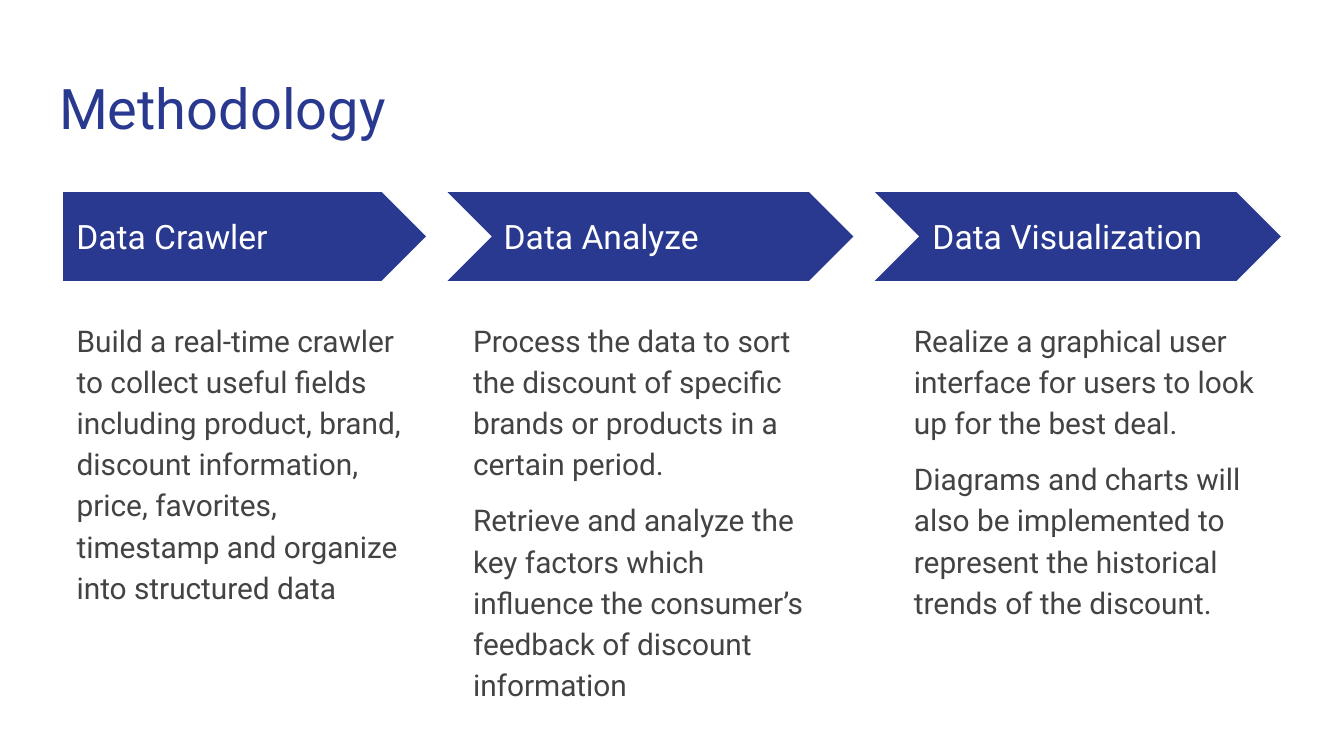
from lxml import etree
from pptx import Presentation
from pptx.dml.color import RGBColor
from pptx.enum.shapes import MSO_SHAPE
from pptx.enum.text import MSO_ANCHOR, MSO_AUTO_SIZE, PP_ALIGN
from pptx.oxml.ns import qn
from pptx.util import Inches, Pt

PENTAGON, CHEVRON = MSO_SHAPE.PENTAGON, MSO_SHAPE.CHEVRON
TOP, MIDDLE = MSO_ANCHOR.TOP, MSO_ANCHOR.MIDDLE
NO_AUTOFIT, LEFT = MSO_AUTO_SIZE.NONE, PP_ALIGN.LEFT

COLORS = {"blue": "2A3990", "white": "FFFFFF", "gray": "434343"}
FONT = "Roboto"
COMPARISON_LAYOUT = 4
SLIDE_WIDTH = 10
SLIDE_HEIGHT = SLIDE_WIDTH * 9 / 16
GRID_LEFT, COLUMN_PITCH, COLUMN_WIDTH = 0.15, 3.18, 3.02
ARROW_TOP, ARROW_HEIGHT, NOTCH = 1.43, 0.66, 0.32
LABEL_WIDTH, LABEL_HEIGHT = 2.47, 0.34
DETAIL_TOP = 2.26

STEPS = [
    {
        "label": "Data Crawler",
        "label_indent": NOTCH,
        "arrow": PENTAGON,
        "arrow_indent": NOTCH,
        "placeholder": 1,
        "detail_box": (NOTCH, 2.7, 2.3),
        "details": [
            "Build a real-time crawler to collect useful fields including product, brand, "
            "discount information, price, favorites, timestamp and organize into structured data",
        ],
    },
    {
        "label": "Data Analyze",
        "label_indent": NOTCH,
        "arrow": CHEVRON,
        "arrow_indent": 0,
        "placeholder": 2,
        "detail_box": (0.09, 2.84, 2.9),
        "details": [
            "Process the data to sort the discount of specific brands or products in a certain period.",
            "Retrieve and analyze the key factors which influence the consumer’s feedback "
            "of discount information",
        ],
    },
    {
        "label": "Data Visualization",
        "label_indent": 0.33,
        "arrow": CHEVRON,
        "arrow_indent": 0,
        "placeholder": 4,
        "detail_box": (0.19, 2.84, 2.9),
        "details": [
            "Realize a graphical user interface for users to look up for the best deal.",
            "Diagrams and charts will also be implemented to represent the historical "
            "trends of the discount.",
        ],
    },
]


def place(shape, left, top, width, height):
    """Move and size a shape, in inches."""
    shape.left, shape.top = Inches(left), Inches(top)
    shape.width, shape.height = Inches(width), Inches(height)


def write_text(shape, lines, size, color, anchor=TOP, line_spacing=1.0, gap=0):
    """Fill a shape with plain, left-aligned paragraphs."""
    frame = shape.text_frame
    frame.text = "\n".join(lines)
    frame.word_wrap, frame.auto_size, frame.vertical_anchor = True, NO_AUTOFIT, anchor
    frame.margin_left = frame.margin_right = Inches(0.1)
    frame.margin_top = frame.margin_bottom = Inches(0.1)
    for index, paragraph in enumerate(frame.paragraphs):
        paragraph.alignment, paragraph.line_spacing = LEFT, line_spacing
        paragraph.space_before = Pt(gap if index else 0)
        paragraph.space_after = Pt(gap if index == len(lines) - 1 else 0)
        properties = paragraph._p.get_or_add_pPr()
        properties.set("marL", "0")
        properties.set("indent", "0")
        etree.SubElement(properties, qn("a:buNone"))
        for run in paragraph.runs:
            run.font.name, run.font.size, run.font.bold = FONT, Pt(size), False
            run.font.color.rgb = RGBColor.from_string(COLORS[color])


def add_title(slide):
    """Write the heading in the title placeholder."""
    place(slide.shapes.title, 0.34, 0.45, 9.32, 0.66)
    write_text(slide.shapes.title, ["Methodology"], 30, "blue")


def add_step(slide, step, left):
    """Build one column: an arrow, its label and the details below."""
    indent = step["arrow_indent"]
    arrow = slide.shapes.add_shape(step["arrow"], 0, 0, 0, 0)
    place(arrow, left + indent, ARROW_TOP, COLUMN_WIDTH - indent, ARROW_HEIGHT)
    arrow.shadow.inherit = False
    arrow.fill.solid()
    arrow.fill.fore_color.rgb = RGBColor.from_string(COLORS["blue"])
    arrow.line.fill.background()

    label = slide.shapes.add_textbox(0, 0, 0, 0)
    label_top = ARROW_TOP + (ARROW_HEIGHT - LABEL_HEIGHT) / 2
    place(label, left + step["label_indent"], label_top, LABEL_WIDTH, LABEL_HEIGHT)
    write_text(label, [step["label"]], 18, "white", MIDDLE)

    offset, width, height = step["detail_box"]
    body = next(shape for shape in slide.placeholders
                if shape.placeholder_format.idx == step["placeholder"])
    place(body, left + offset, DETAIL_TOP, width, height)
    write_text(body, step["details"], 16, "gray", line_spacing=1.15, gap=8)


def remove_empty_placeholders(slide):
    """Delete the placeholders that hold no text."""
    for shape in list(slide.placeholders):
        if not shape.text_frame.text:
            shape.element.getparent().remove(shape.element)


def main():
    """Build and save the methodology slide."""
    presentation = Presentation()
    presentation.slide_width = Inches(SLIDE_WIDTH)
    presentation.slide_height = Inches(SLIDE_HEIGHT)
    slide = presentation.slides.add_slide(presentation.slide_layouts[COMPARISON_LAYOUT])
    add_title(slide)
    for column, step in enumerate(STEPS):
        add_step(slide, step, GRID_LEFT + column * COLUMN_PITCH)
    remove_empty_placeholders(slide)
    presentation.save("out.pptx")


if __name__ == "__main__":
    main()
